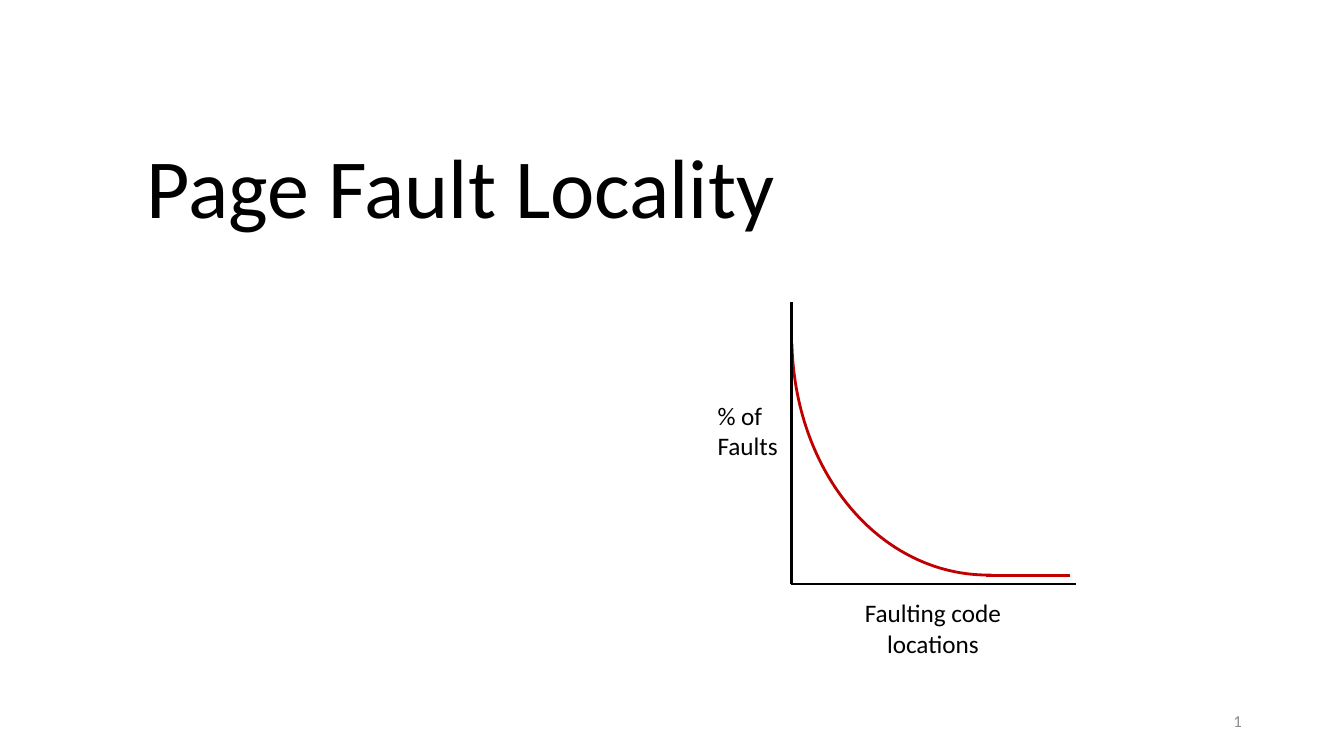
from lxml.etree import SubElement as Sub
from pptx import Presentation
from pptx.dml.color import RGBColor
from pptx.enum.shapes import MSO_CONNECTOR as Link, MSO_SHAPE as Shape
from pptx.enum.text import MSO_ANCHOR as Anchor, PP_ALIGN as Align
from pptx.oxml.ns import qn
from pptx.util import Inches, Pt

BLACK = RGBColor(0x00, 0x00, 0x00)
GREY = RGBColor(0x8C, 0x8C, 0x8C)
RED = RGBColor(0xC0, 0x00, 0x00)

deck = Presentation()
deck.slide_width = Inches(13.33)
deck.slide_height = Inches(7.5)
slide = deck.slides.add_slide(deck.slide_layouts[6])
shapes = slide.shapes
col = deck.slide_width / 100
row = deck.slide_height / 100


def grid(x, y, *size):
    return [int(n * unit) for n, unit in zip((x, y, *size), (col, row) * 2)]


def write(area, lines, size, color, align, anchor=Anchor.TOP, space=1.0):
    frame = shapes.add_textbox(*grid(*area)).text_frame
    frame.word_wrap = True
    frame.vertical_anchor = anchor
    for i, line in enumerate(lines):
        para = frame.add_paragraph() if i else frame.paragraphs[0]
        para.alignment = align
        para.line_spacing = space
        run = para.add_run()
        run.text = line
        run.font.name = "Calibri"
        run.font.size = Pt(size)
        run.font.color.rgb = color


write((8.77, 16, 51, 16), ["Page Fault Locality"], 60, BLACK,
      Align.CENTER, Anchor.BOTTOM, 0.9)
write((70.65, 92.67, 22.5, 5.33), ["1"], 12, GREY, Align.RIGHT, Anchor.MIDDLE)
write((62.7, 78.4, 13.43, 9.47), ["Faulting code locations"], 18, BLACK,
      Align.CENTER)
write((52.65, 52.27, 6.75, 9.47), ["% of", "Faults"], 18, BLACK, Align.LEFT)

curve = shapes.add_shape(Shape.ARC, *grid(55.58, 16.13, 37.13, 54))
curve.rotation = 96
curve.adjustments[0] = 213.13
curve.adjustments[1] = 47.45
curve.shadow.inherit = False
curve.fill.background()
curve.line.color.rgb = RED
curve.line.width = Pt(2)

zero = (58.89, 77.2)
for start, end, color, width in [
    (zero, (80.04, 77.2), BLACK, 1.5),
    (zero, (58.89, 40), BLACK, 1.5),
    ((73.37, 76.13), (79.59, 76.13), RED, 2),
]:
    line = shapes.add_connector(Link.STRAIGHT, *grid(*start), *grid(*end))
    line.line.color.rgb = color
    line.line.width = Pt(width)
    Sub(line._element.spPr, qn("a:effectLst"))

deck.save("out.pptx")
